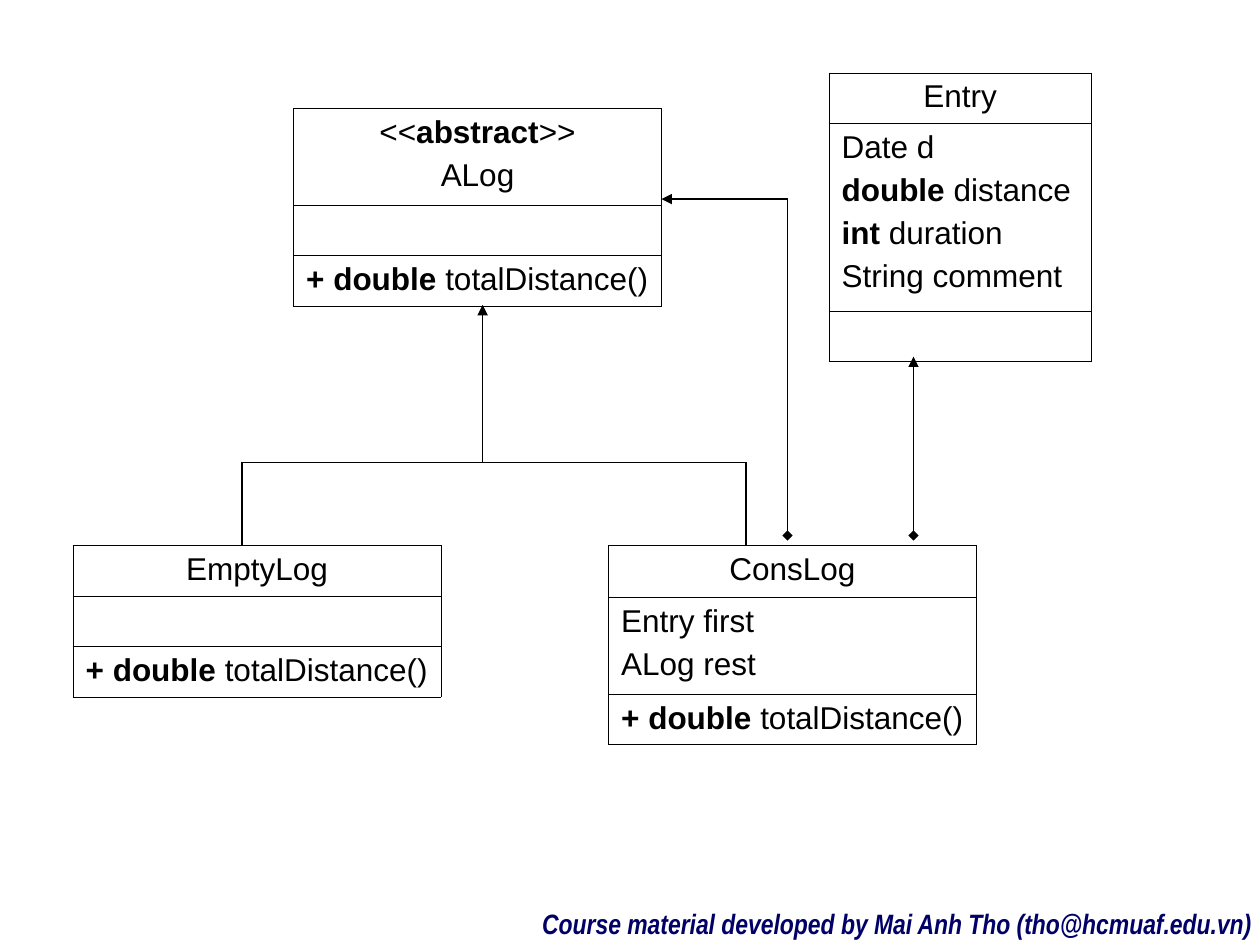
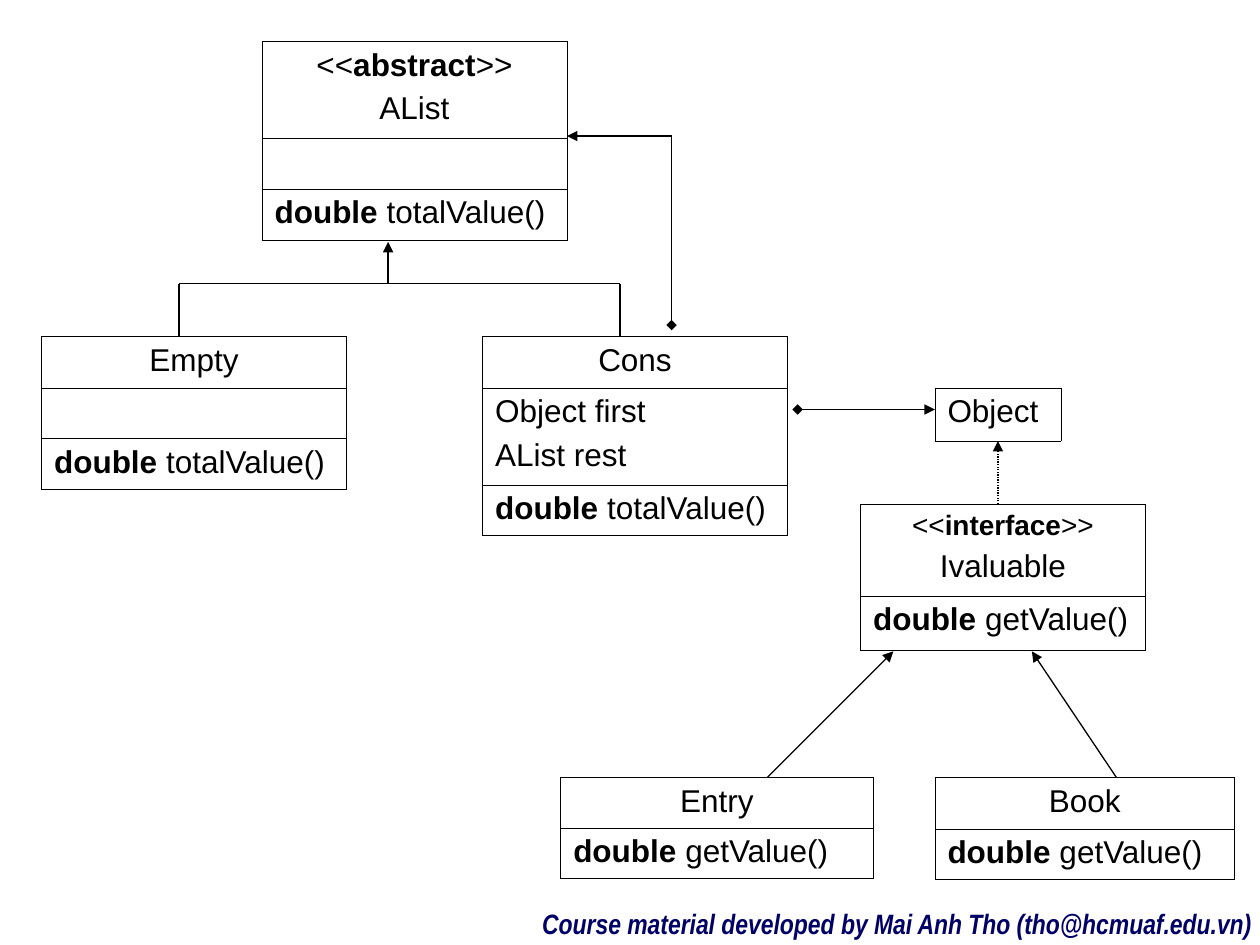
from lxml import etree
from pptx import Presentation
from pptx import util as u
from pptx.dml.color import RGBColor
from pptx.enum import dml, shapes, text
from pptx.oxml import ns

BLACK = RGBColor(0, 0, 0)
NAVY = RGBColor(0, 0, 0x66)
FONT = "Arial"

# Class boxes: left, top, width, rows of (height, lines); *...* marks bold
TOTAL = "*+ double* totalDistance()"
VALUE = "*double* totalValue()"
GET = "*double* getValue()"
LOGS = [
    (6.58, 0.58, 2.08, [
        (0.4, ["Entry"]),
        (1.49, ["Date d", "*double* distance", "*int* duration", "String comment"]),
        (0.4, [""])]),
    (2.33, 0.86, 2.92, [(0.77, ["<<*abstract*>>", "ALog"]), (0.4, [""]), (0.4, [TOTAL])]),
    (0.58, 4.33, 2.92, [(0.4, ["EmptyLog"]), (0.4, [""]), (0.4, [TOTAL])]),
    (4.83, 4.33, 2.92, [
        (0.41, ["ConsLog"]), (0.77, ["Entry first", "ALog rest"]), (0.4, [TOTAL])]),
]
LISTS = [
    (2.08, 0.33, 2.42, [(0.77, ["<<*abstract*>>", "AList"]), (0.4, [""]), (0.41, [VALUE])]),
    (0.33, 2.67, 2.42, [(0.41, ["Empty"]), (0.4, [""]), (0.4, [VALUE])]),
    (3.83, 2.67, 2.42, [
        (0.41, ["Cons"]), (0.77, ["Object first", "AList rest"]), (0.4, [VALUE])]),
    (6.83, 4, 2.26, [(0.73, ["<<*interface*>>", "Ivaluable"]), (0.43, [GET])]),
    (7.42, 3.08, 1, [(0.42, ["Object"])]),
    (7.42, 6.17, 2.38, [(0.41, ["Book"]), (0.4, [GET])]),
    (4.45, 6.17, 2.48, [(0.4, ["Entry"]), (0.4, [GET])]),
]

# Links: start x, y, end x, y, start mark, end mark, dotted
TIP, GEM = "triangle", "diamond"
LOG_LINKS = [
    (1.92, 3.67, 1.92, 4.33, None, None, False),
    (5.92, 3.67, 5.92, 4.33, None, None, False),
    (1.92, 3.67, 5.92, 3.67, None, None, False),
    (3.83, 3.67, 3.83, 2.42, None, TIP, False),
    (6.25, 1.58, 6.25, 4.25, None, GEM, False),
    (6.25, 1.58, 5.25, 1.58, None, TIP, False),
    (7.25, 4.25, 7.25, 2.83, GEM, TIP, False),
]
LIST_LINKS = [
    (1.42, 2.67, 1.42, 2.25, None, None, False),
    (4.92, 2.67, 4.92, 2.25, None, None, False),
    (4.92, 2.25, 1.42, 2.25, None, None, False),
    (3.08, 2.25, 3.08, 1.92, None, TIP, False),
    (5.33, 2.58, 5.33, 1.08, GEM, None, False),
    (5.33, 1.08, 4.5, 1.08, None, TIP, False),
    (6.33, 3.25, 7.42, 3.25, GEM, TIP, False),
    (7.92, 4, 7.92, 3.5, None, TIP, True),
    (6.09, 6.17, 7.09, 5.17, None, TIP, False),
    (8.86, 6.17, 8.19, 5.17, None, TIP, False),
]


def fill_cell(cell, lines, head):
    """Write the lines, then draw thin black borders on an unfilled cell."""
    frame = cell.text_frame
    for i, line in enumerate(lines):
        para = frame.add_paragraph() if i else frame.paragraphs[0]
        if i:
            para.space_before = u.Pt(4.5)
        para.alignment = text.PP_ALIGN.CENTER if head else text.PP_ALIGN.LEFT
        para.font.name = FONT
        para.font.size = u.Pt(16 if "interface" in line else 18)
        para.font.color.rgb = BLACK
        for j, part in enumerate(line.split("*")):
            if part:
                run = para.add_run()
                run.text = part
                run.font.bold = j % 2 == 1
    cell.fill.background()
    props = cell._tc.get_or_add_tcPr()
    for i, side in enumerate("LRTB"):
        edge = etree.Element(ns.qn("a:ln" + side), w=str(u.Pt(0.45)))
        paint = etree.SubElement(edge, ns.qn("a:solidFill"))
        etree.SubElement(paint, ns.qn("a:srgbClr"), val=str(BLACK))
        props.insert(i, edge)


def add_link(slide, x1, y1, x2, y2, head, tail, dotted):
    """Draw a thin straight line with optional end marks."""
    link = slide.shapes.add_connector(
        shapes.MSO_CONNECTOR.STRAIGHT, *[u.Inches(v) for v in (x1, y1, x2, y2)])
    link.line.color.rgb = BLACK
    link.line.width = u.Pt(0.75)
    if dotted:
        link.line.dash_style = dml.MSO_LINE.ROUND_DOT
    for tag, mark in (("a:headEnd", head), ("a:tailEnd", tail)):
        if mark:
            etree.SubElement(link.get_or_add_ln(), ns.qn(tag), type=mark)
    etree.SubElement(link.element.spPr, ns.qn("a:effectLst"))


prs = Presentation()
prs.slide_width, prs.slide_height = u.Inches(10), u.Inches(7.5)
blank = prs.slide_layouts[6]

for boxes, links in ((LOGS, LOG_LINKS), (LISTS, LIST_LINKS)):
    slide = prs.slides.add_slide(blank)

    # Class boxes
    for left, top, width, rows in boxes:
        high = sum(row[0] for row in rows)
        table = slide.shapes.add_table(
            len(rows), 1, *[u.Inches(v) for v in (left, top, width, high)]).table
        table.first_row = table.horz_banding = False
        for i, (size, lines) in enumerate(rows):
            table.rows[i].height = u.Inches(size)
            fill_cell(table.cell(i, 0), lines, i == 0 and len(rows) > 1)

    # Links
    for link in links:
        add_link(slide, *link)

# Footer, moved to the layout so that both slides share it
foot = prs.slides[0].shapes.add_textbox(
    u.Inches(4.2), u.Inches(7.14), u.Inches(5.84), u.Inches(0.37))
frame = foot.text_frame
frame.word_wrap = False
frame.auto_size = text.MSO_AUTO_SIZE.SHAPE_TO_FIT_TEXT
frame.vertical_anchor = text.MSO_ANCHOR.MIDDLE
para = frame.paragraphs[0]
para.text = "Course material developed by Mai Anh Tho (tho@hcmuaf.edu.vn)"
para.alignment = text.PP_ALIGN.CENTER
para.font.name = "Arial Narrow"
para.font.size = u.Pt(16)
para.font.bold = para.font.italic = True
para.font.color.rgb = NAVY
blank.shapes.element.append(foot.element)

prs.save("out.pptx")
